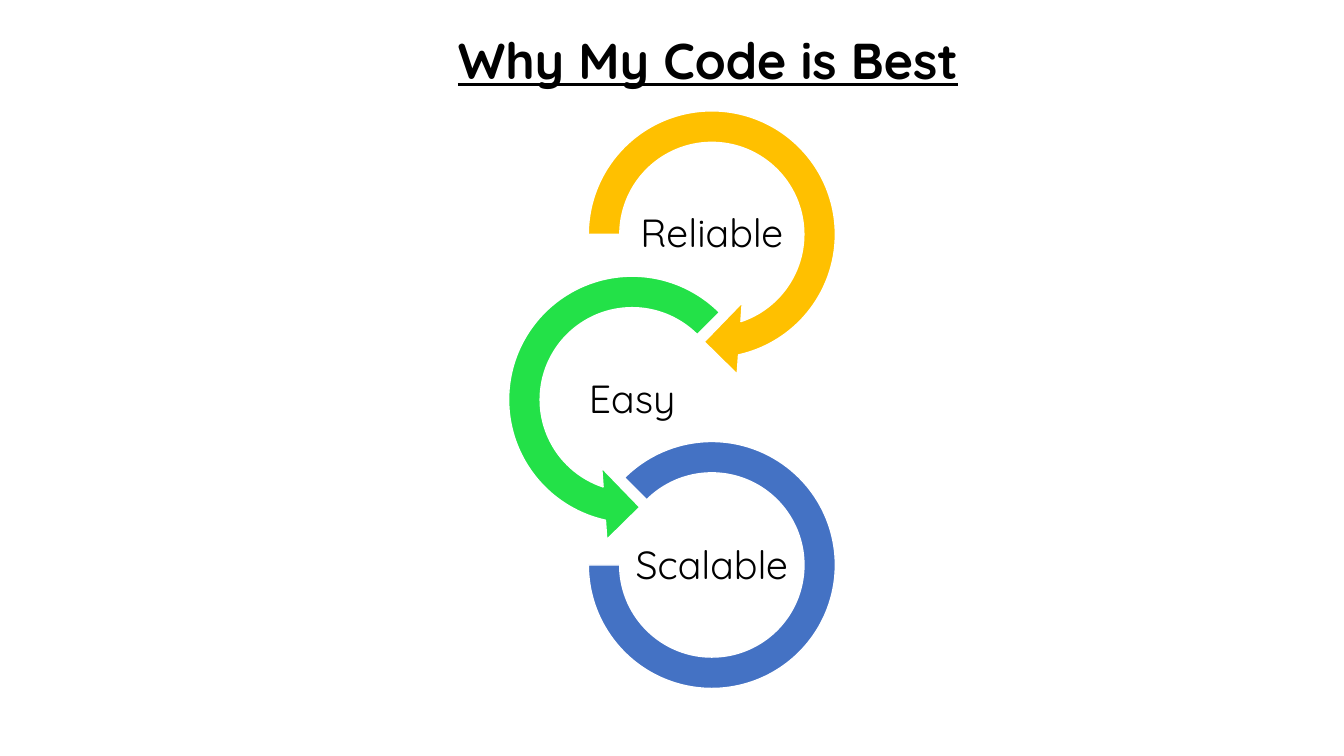
from pptx import Presentation
from pptx.dml.color import RGBColor
from pptx.enum.shapes import MSO_SHAPE
from pptx.enum.text import MSO_ANCHOR, MSO_AUTO_SIZE, PP_ALIGN
from pptx.util import Inches, Pt

FONT = "Quicksand"
CENTER_LEFT, CENTER_RIGHT = 6.27, 7.06
FIRST_Y, RING_PITCH, LABEL_PITCH = 2.325, 1.64, 1.65
LABEL_W, LABEL_H = 1.58, 0.79

# label, preset, centre x, size, adjustments, colour
STEPS = [
    ("Reliable", MSO_SHAPE.CIRCULAR_ARROW, CENTER_RIGHT, 2.85,
     (0.1098, 11.423, 45, 108, 0.125), "FFC000"),
    ("Easy", MSO_SHAPE.LEFT_CIRCULAR_ARROW, CENTER_LEFT, 2.85,
     (0.1098, 11.423, 63, 189, 0.125), "23E148"),
    ("Scalable", MSO_SHAPE.BLOCK_ARC, CENTER_RIGHT, 2.45,
     (135, 108, 0.127), "4472C4"),
]


def rgb(value):
    """Turn a hex string into a colour."""
    return RGBColor.from_string(value)


def set_attrs(obj, values):
    """Set each attribute of obj from a dict."""
    for name, value in values.items():
        setattr(obj, name, value)


def centered_box(x, y, w, h):
    """Give left, top, width and height of a box centred on x, y."""
    return [Inches(v) for v in (x - w / 2, y - h / 2, w, h)]


def write_text(sp, text, frame, paragraph, font):
    """Put one formatted paragraph into a shape."""
    tf = sp.text_frame
    set_attrs(tf, frame)
    p = tf.paragraphs[0]
    set_attrs(p, paragraph)
    r = p.add_run()
    r.text = text
    set_attrs(r.font, {"name": FONT, **font})
    r.font.color.rgb = rgb("000000")


def add_title(s, text):
    """Place and format the slide title."""
    sp = s.shapes.title
    set_attrs(sp, {"left": Inches(4.44), "top": Inches(0.24),
                   "width": Inches(5.24), "height": Inches(0.71)})
    write_text(sp, text,
               {"word_wrap": False, "vertical_anchor": MSO_ANCHOR.TOP,
                "auto_size": MSO_AUTO_SIZE.SHAPE_TO_FIT_TEXT},
               {"alignment": PP_ALIGN.LEFT},
               {"size": Pt(36), "bold": True, "underline": True})


def add_ring(s, preset, x, y, size, adjustments, color):
    """Draw one open ring or circular arrow."""
    sp = s.shapes.add_shape(preset, *centered_box(x, y, size, size))
    for i, value in enumerate(adjustments):
        sp.adjustments[i] = value
    sp.shadow.inherit = False
    sp.fill.solid()
    sp.fill.fore_color.rgb = rgb(color)
    sp.line.color.rgb = rgb("FFFFFF")
    sp.line.width = Pt(1)


def add_label(s, text, x, y):
    """Write a step name in the middle of its ring."""
    sp = s.shapes.add_textbox(*centered_box(x, y, LABEL_W, LABEL_H))
    sides = ("left", "top", "right", "bottom")
    margins = {f"margin_{side}": Inches(0.02) for side in sides}
    write_text(sp, text,
               {"word_wrap": True, "vertical_anchor": MSO_ANCHOR.MIDDLE,
                **margins},
               {"alignment": PP_ALIGN.CENTER, "line_spacing": 0.9},
               {"size": Pt(28)})


def main():
    """Build the slide and save it."""
    prs = Presentation()
    set_attrs(prs, {"slide_width": Inches(13.33),
                    "slide_height": Inches(7.5)})
    s = prs.slides.add_slide(prs.slide_layouts.get_by_name("Title Only"))
    add_title(s, "Why My Code is Best")
    for i, (text, preset, x, size, adjustments, color) in enumerate(STEPS):
        add_ring(s, preset, x, FIRST_Y + i * RING_PITCH, size,
                 adjustments, color)
        add_label(s, text, x, FIRST_Y + i * LABEL_PITCH)
    prs.save("out.pptx")


main()
